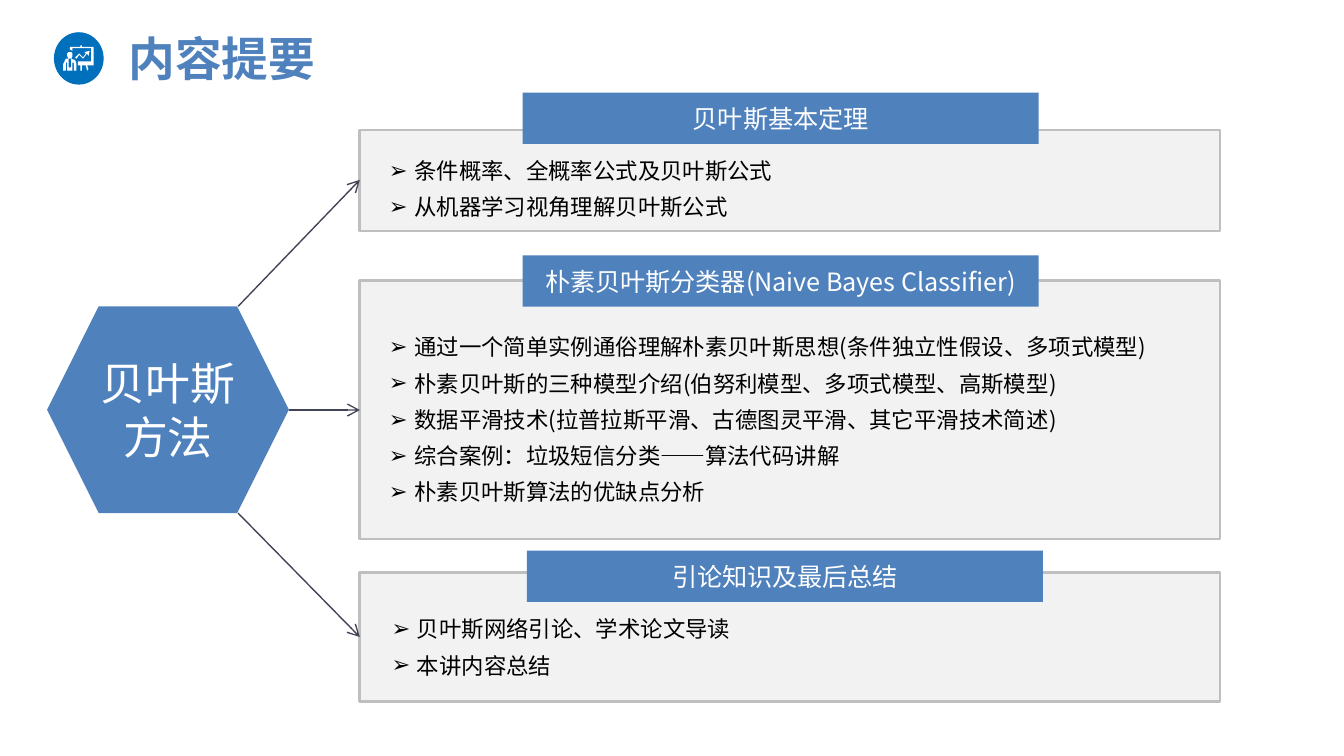
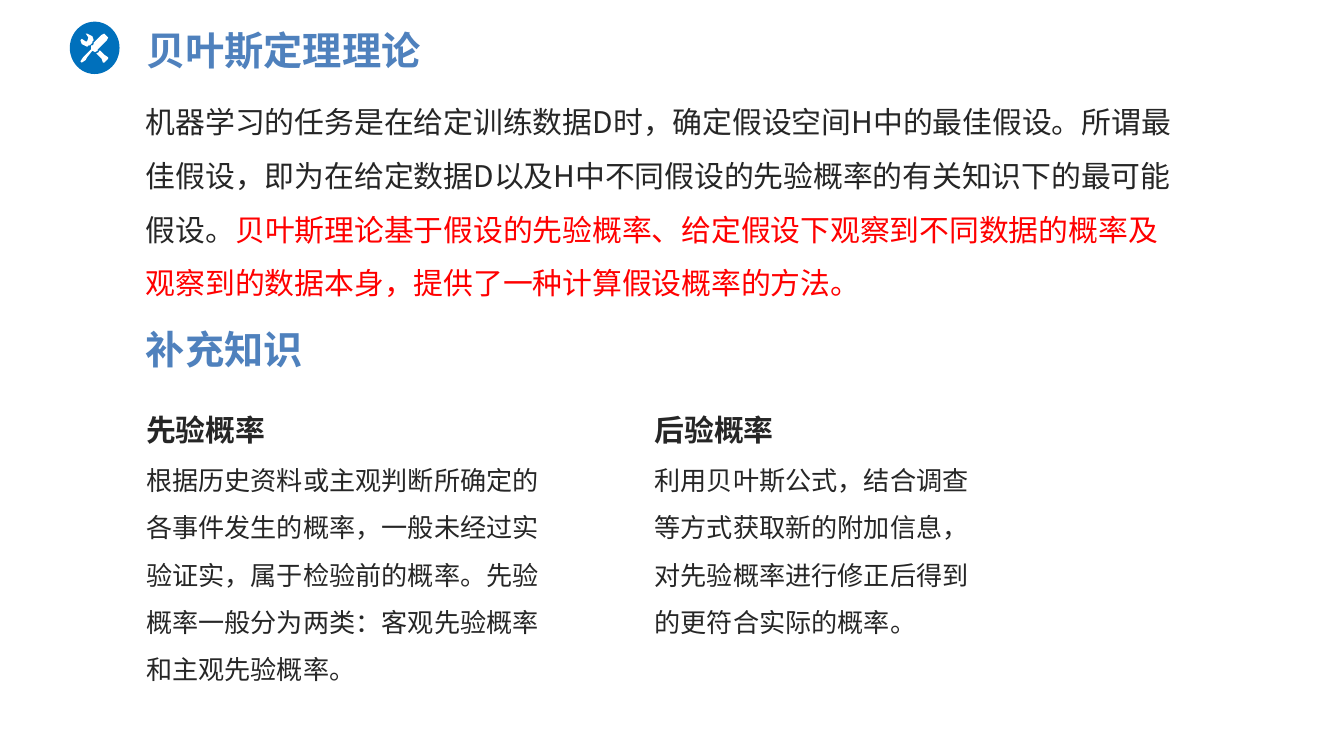
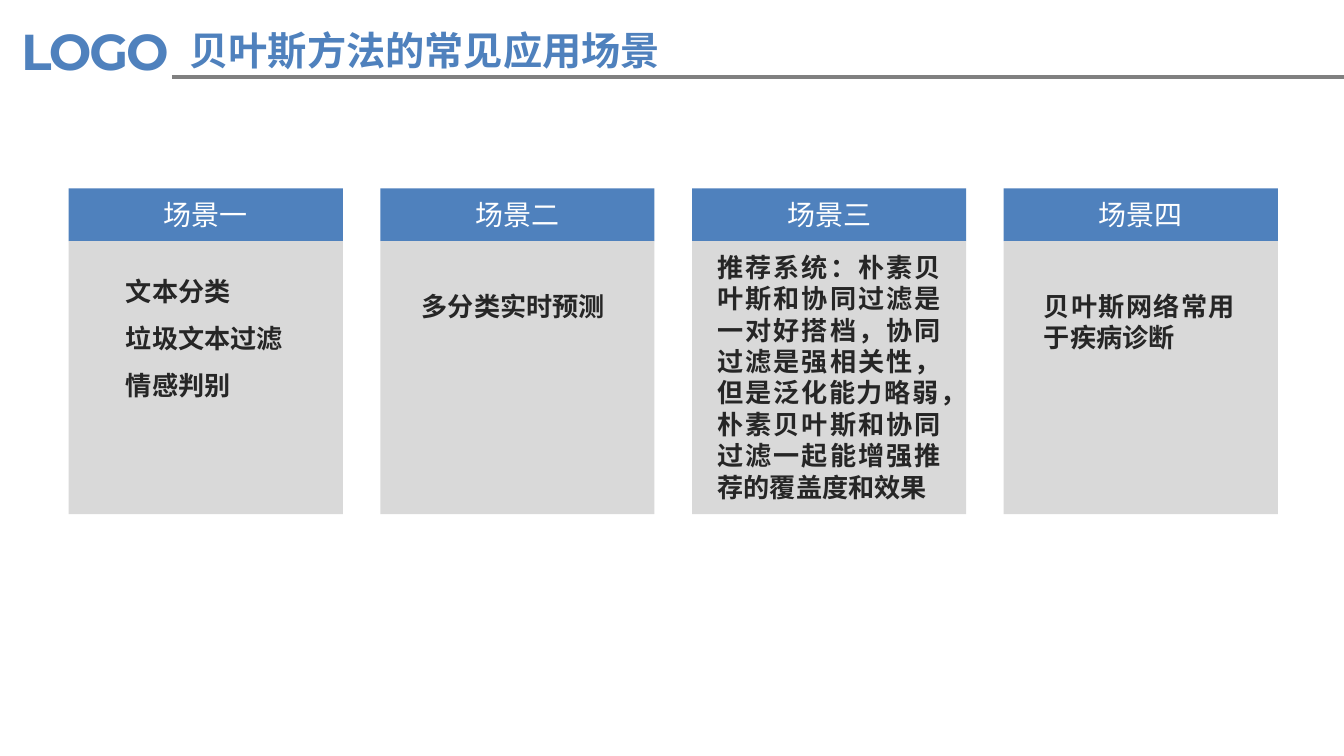
from lxml import etree
from pptx import Presentation
from pptx import util as u
from pptx.dml.color import RGBColor
from pptx.enum import shapes, text
from pptx.oxml import ns

Cm, Pt = u.Cm, u.Pt
SHAPE, ALIGN, ANCHOR = shapes.MSO_SHAPE, text.PP_ALIGN, text.MSO_ANCHOR
FONT, LOGO_FONT = "Noto Sans CJK SC", "Montserrat"
BLUE, ICON_BLUE, WHITE, BLACK = "4F81BD", "0070BC", "FFFFFF", "000000"
INK, RED, ARROW, RULE = "262626", "FF0000", "414455", "808080"
PANEL, PANEL_EDGE, CARD = "F2F2F2", "BFBFBF", "D9D9D9"
WIDE, TIGHT = (0.25, 0.13), (0.19, 0.1)
COMPARISON = 4  # the layout with a title and four body placeholders

# Icon outlines, in fortieths of a centimetre from the disc's corner
BOARD_ICON = [
    [(19, 16), (16, 19), (17, 20), (19, 17), (22, 20), (25, 16), (26, 18),
     (27, 14), (23, 15), (24, 16), (22, 19)],
    [(30, 12), (30, 11), (21, 11), (21, 10), (20, 10), (20, 11), (12, 11),
     (12, 13), (14, 14), (14, 12), (28, 12), (28, 22), (18, 22), (18, 25),
     (20, 25), (20, 29), (21, 29), (21, 25), (24, 25), (25, 29), (26, 28),
     (25, 25), (30, 25)],
    [(10, 16), (11, 15), (13, 15), (14, 16), (14, 18), (13, 20), (11, 20),
     (10, 18)],
    [(13, 20), (13, 26), (12, 27), (11, 26), (11, 20), (9, 20), (7, 24),
     (7, 29), (9, 29), (9, 23), (10, 23), (10, 29), (14, 29), (14, 23),
     (15, 23), (15, 29), (17, 29), (17, 24), (16, 21)],
]
TOOLS_ICON = [
    [(22, 22), (22, 23), (20, 24), (24, 28), (25, 31), (26, 31), (29, 28),
     (29, 27), (26, 25), (23, 22)],
    [(16, 17), (17, 16), (17, 15), (18, 14), (17, 11), (13, 9), (12, 9),
     (14, 12), (13, 15), (12, 15), (9, 13), (8, 14), (9, 17), (13, 19),
     (14, 18), (15, 18)],
    [(28, 11), (27, 10), (26, 9), (24, 10), (18, 16), (18, 17), (17, 18),
     (16, 18), (16, 21), (11, 26), (10, 27), (8, 30), (9, 31), (12, 29),
     (13, 27), (17, 22), (19, 23), (21, 22), (21, 21), (22, 20), (28, 14),
     (29, 12)],
]


def rgb(value):
    """Turn a hex string into a colour."""
    return RGBColor.from_string(value)


def child(parent, tag, **attrs):
    """Append a DrawingML element."""
    return etree.SubElement(parent, ns.qn(tag), **attrs)


class Deck:
    """Holds the presentation, its style and the current slide."""

    def __init__(self):
        """Start an empty widescreen presentation."""
        self.prs = Presentation()
        self.prs.slide_width, self.prs.slide_height = Cm(25.4), Cm(14.29)
        self.s = None

    def new_slide(self):
        """Add a slide and make it current."""
        self.s = self.prs.slides.add_slide(self.prs.slide_layouts[COMPARISON])

    def drop_unused(self):
        """Remove the current slide's empty placeholders."""
        for sp in list(self.s.placeholders):
            if not sp.text_frame.text:
                sp.element.getparent().remove(sp.element)

    def set_text(self, sp, paras, size, color=INK, bold=False, align=ALIGN.LEFT,
                 anchor=ANCHOR.TOP, inset=WIDE, spacing=1.0, before=0,
                 bullet=None, font=FONT, track=None):
        """Fill a shape; a paragraph is a string or (text, colour) runs."""
        tf = sp.text_frame
        tf.word_wrap, tf.auto_size = True, text.MSO_AUTO_SIZE.NONE
        tf.vertical_anchor = anchor
        tf.margin_left = tf.margin_right = Cm(inset[0])
        tf.margin_top = tf.margin_bottom = Cm(inset[1])
        for i, runs in enumerate(paras):
            p = tf.add_paragraph() if i else tf.paragraphs[0]
            p.alignment, p.line_spacing = align, spacing
            p.space_before, p.space_after = Pt(before), Pt(0)
            pPr = p._p.get_or_add_pPr()
            indent = Cm(0.48) if bullet else 0
            pPr.set("marL", str(indent))
            pPr.set("indent", str(-indent))
            if bullet:
                child(pPr, "a:buChar", char=bullet)
            else:
                child(pPr, "a:buNone")
            for words, tint in [(runs, color)] if isinstance(runs, str) else runs:
                r = p.add_run()
                r.text = words
                r.font.size, r.font.bold, r.font.name = Pt(size), bold, font
                r.font.color.rgb = rgb(tint)
                rPr = r._r.get_or_add_rPr()
                child(rPr, "a:ea", typeface=font)
                if track:
                    rPr.set("spc", str(track))

    def place(self, sp, box):
        """Move a placeholder to a box and bring it to the front."""
        sp.left, sp.top, sp.width, sp.height = map(Cm, box)
        sp.element.getparent().append(sp.element)
        return sp

    def title(self, words, box, size=21, align=ALIGN.LEFT):
        """Set the slide title."""
        self.set_text(self.place(self.s.shapes.title, box), [words], size, BLUE,
                      True, align)

    def body(self, idx, box, paras, size, **style):
        """Fill one of the body placeholders."""
        self.set_text(self.place(self.s.placeholders[idx], box), paras, size,
                      **style)

    def label(self, box, paras, size, **style):
        """Add a text box."""
        self.set_text(self.s.shapes.add_textbox(*map(Cm, box)), paras, size,
                      **style)

    def paint(self, sp, fill, edge=None):
        """Give a shape a flat fill and an optional outline."""
        sp.shadow.inherit = False
        sp.fill.solid()
        sp.fill.fore_color.rgb = rgb(fill)
        if edge:
            sp.line.color.rgb, sp.line.width = rgb(edge), Pt(1.5)
        else:
            sp.line.fill.background()

    def shape(self, kind, box, fill, edge=None, words=None, size=13.5):
        """Add a preset shape, with centred white text if any."""
        sp = self.s.shapes.add_shape(kind, *map(Cm, box))
        self.paint(sp, fill, edge)
        if words:
            self.set_text(sp, [words], size, WHITE, align=ALIGN.CENTER,
                          anchor=ANCHOR.MIDDLE, inset=TIGHT)

    def line(self, start, end, color, width, arrow=False):
        """Add a straight line, with an open arrowhead if asked."""
        c = self.s.shapes.add_connector(shapes.MSO_CONNECTOR.STRAIGHT,
                                        *map(Cm, start + end))
        c.line.color.rgb, c.line.width = rgb(color), Pt(width)
        if arrow:
            child(c.line._get_or_add_ln(), "a:tailEnd", type="arrow")
        child(c.element.spPr, "a:effectLst")

    def icon(self, left, top, outlines):
        """Add a round icon with a white pictogram."""
        self.shape(SHAPE.OVAL, (left, top, 0.94, 0.99), ICON_BLUE)
        first, *others = outlines
        fb = self.s.shapes.build_freeform(*first[0], scale=Cm(1) / 40)
        fb.add_line_segments(first[1:], close=True)
        for outline in others:
            fb.move_to(*outline[0])
            fb.add_line_segments(outline[1:], close=True)
        self.paint(fb.convert_to_shape(Cm(left), Cm(top)), WHITE)

    def section(self, idx, top, height, head, head_left, head_top, items,
                items_left, items_top):
        """Add an outlined panel with a heading bar and a bulleted list."""
        self.shape(SHAPE.RECTANGLE, (6.8, top, 16.26, height), PANEL, PANEL_EDGE)
        self.shape(SHAPE.RECTANGLE, (head_left, head_top, 9.75, 0.97), BLUE,
                   words=head)
        self.body(idx, (items_left, items_top, 15.2, 0.84 * len(items)), items,
                  12, color=BLACK, inset=TIGHT, spacing=1.3, before=0.7,
                  bullet="➢")


def outline_slide(d):
    """Contents: a hexagon pointing to three sections."""
    d.new_slide()
    d.title("内容提要", (0.76, 0.43, 6.86, 1.32), 25, ALIGN.CENTER)
    d.icon(1.02, 0.61, BOARD_ICON)
    d.section(1, 2.46, 1.91, "贝叶斯基本定理", 9.88, 1.75,
              ["条件概率、全概率公式及贝叶斯公式", "从机器学习视角理解贝叶斯公式"],
              7.16, 2.72)
    d.section(2, 5.31, 4.88, "朴素贝叶斯分类器(Naive Bayes Classifier)", 9.88, 4.83,
              ["通过一个简单实例通俗理解朴素贝叶斯思想(条件独立性假设、多项式模型)",
               "朴素贝叶斯的三种模型介绍(伯努利模型、多项式模型、高斯模型)",
               "数据平滑技术(拉普拉斯平滑、古德图灵平滑、其它平滑技术简述)",
               "综合案例：垃圾短信分类——算法代码讲解",
               "朴素贝叶斯算法的优缺点分析"], 7.16, 6.05)
    d.section(3, 10.82, 2.44, "引论知识及最后总结", 9.96, 10.41,
              ["贝叶斯网络引论、学术论文导读", "本讲内容总结"], 7.21, 11.38)
    d.shape(SHAPE.HEXAGON, (0.89, 5.79, 4.57, 3.91), BLUE, words="贝叶斯方法", size=24)
    for start, end in [((4.5, 5.79), (6.8, 3.4)), ((5.46, 7.75), (6.8, 7.75)),
                       ((4.5, 9.7), (6.8, 12.04))]:
        d.line(start, end, ARROW, 0.75, arrow=True)
    d.drop_unused()


def theory_slide(d):
    """Theory: an introduction and two definitions."""
    d.new_slide()
    left = 2.51
    d.title("贝叶斯定理理论", (left, 0.36, 6.4, 1.14))
    d.icon(1.32, 0.41, TOOLS_ICON)
    d.label((left, 1.5, 20.17, 3.84), [[
        ("机器学习的任务是在给定训练数据D时，确定假设空间H中的最佳假设。"
         "所谓最佳假设，即为在给定数据D以及H中不同假设的先验概率的有关知识下的最可能假设。", INK),
        ("贝叶斯理论基于假设的先验概率、给定假设下观察到不同数据的概率及观察到的数据本身，"
         "提供了一种计算假设概率的方法。", RED)]], 16, spacing=1.5)
    d.label((left, 6.02, 6.4, 1.14), ["补充知识"], 21, color=BLUE, bold=True)
    terms = [
        (1, left, 8.31, "先验概率",
         "根据历史资料或主观判断所确定的各事件发生的概率，一般未经过实验证实，"
         "属于检验前的概率。先验概率一般分为两类：客观先验概率和主观先验概率。"),
        (3, 12.12, 6.73, "后验概率",
         "利用贝叶斯公式，结合调查等方式获取新的附加信息，"
         "对先验概率进行修正后得到的更符合实际的概率。"),
    ]
    for idx, x, width, term, meaning in terms:
        d.body(idx, (x, 7.39, width, 1.25), [term], 16, bold=True, spacing=1.4,
               before=3.2)
        d.body(idx + 1, (x, 8.36, width, 4), [meaning], 14, spacing=1.5)
    d.drop_unused()


def scenes_slide(d):
    """Applications: a row of four cards."""
    d.new_slide()
    d.label((0.15, 0.25, 3.56, 1.42), ["LOGO"], 27, color=BLUE, bold=True,
            font=LOGO_FONT, track=-110)
    d.line((3.25, 1.45), (25.4, 1.45), RULE, 2)
    d.title("贝叶斯方法的常见应用场景", (3.33, 0.36, 13.18, 1.14))
    cards = [
        ("场景一", (2.13, 4.78, 3.48, 2.95), 1.5,
         ["文本分类", "垃圾文本过滤", "情感判别"]),
        ("场景二", (7.72, 5.36, 4.11, 0.86), 1.0, ["多分类实时预测"]),
        ("场景三", (13.31, 4.62, 4.72, 5.03), 1.0,
         ["推荐系统：朴素贝叶斯和协同过滤是一对好搭档，协同过滤是强相关性，"
          "但是泛化能力略弱，朴素贝叶斯和协同过滤一起能增强推荐的覆盖度和效果"]),
        ("场景四", (19.48, 5.36, 4.11, 1.45), 1.0, ["贝叶斯网络常用于疾病诊断"]),
    ]
    for i, (name, box, spacing, paras) in enumerate(cards):
        x = 1.3 + 5.89 * i
        d.shape(SHAPE.RECTANGLE, (x, 3.56, 5.18, 1), BLUE, words=name, size=15)
        d.shape(SHAPE.RECTANGLE, (x, 4.56, 5.18, 5.16), CARD)
        d.body(i + 1, box, paras, 14, bold=True, align=ALIGN.JUSTIFY,
               spacing=spacing)
    d.drop_unused()


deck = Deck()
outline_slide(deck)
theory_slide(deck)
scenes_slide(deck)
deck.prs.save("out.pptx")
